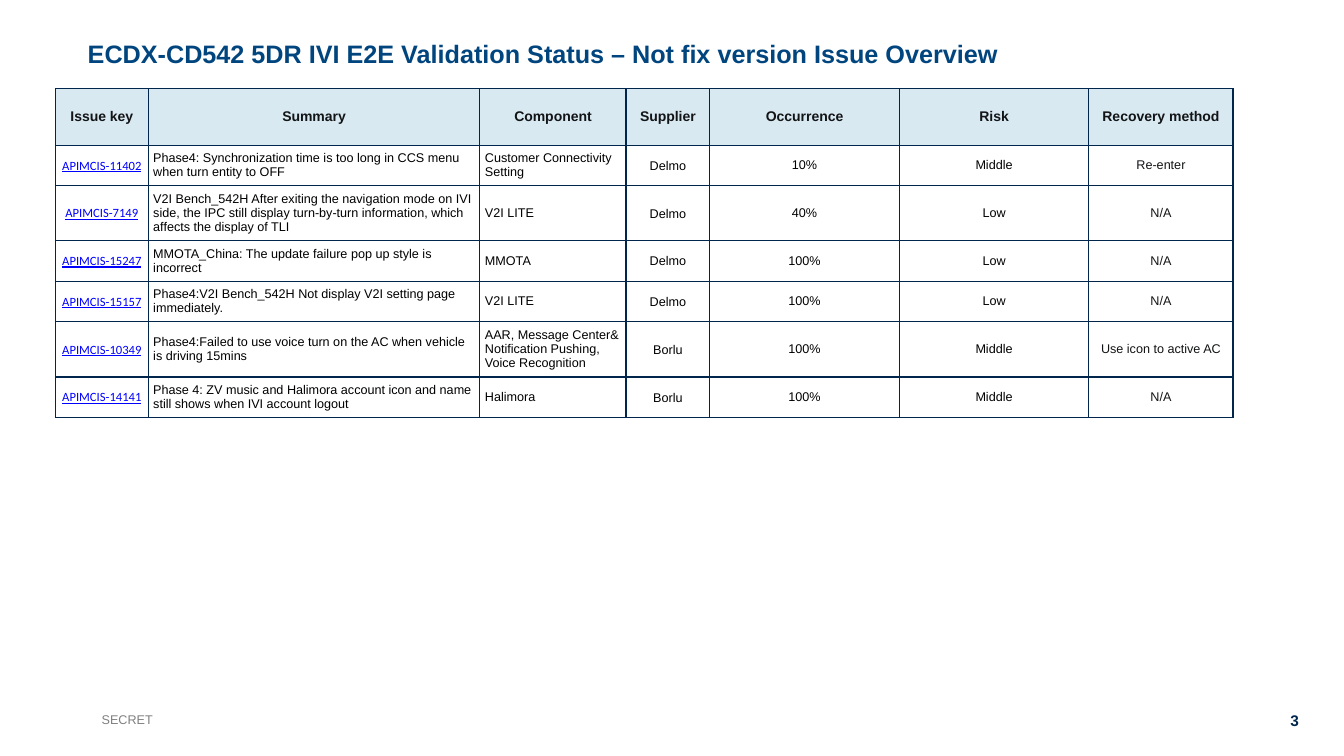
from lxml.etree import SubElement
from pptx import Presentation
from pptx.dml.color import RGBColor
from pptx.enum.text import MSO_ANCHOR, MSO_AUTO_SIZE, PP_ALIGN
from pptx.oxml.ns import qn
from pptx.util import Inches, Pt

NAVY = RGBColor(0x00, 0x26, 0x4E)
TITLE_BLUE = RGBColor(0x00, 0x45, 0x7E)
HEADER_FILL = RGBColor(0xD8, 0xE9, 0xF2)
INK = RGBColor(0x13, 0x14, 0x16)
BLACK = RGBColor(0x00, 0x00, 0x00)
LINK_BLUE = RGBColor(0x00, 0x00, 0xFF)
GREY = RGBColor(0x80, 0x80, 0x80)

HEADINGS = ("Issue key", "Summary", "Component", "Supplier", "Occurrence", "Risk", "Recovery method")
ISSUES = [
    ("APIMCIS-11402", "Phase4: Synchronization time is too long in CCS menu when turn entity to OFF",
     "Customer Connectivity Setting", "Delmo", "10%", "Middle", "Re-enter"),
    ("APIMCIS-7149", "V2I Bench_542H After exiting the navigation mode on IVI side, the IPC still "
     "display turn-by-turn information, which affects the display of TLI",
     "V2I LITE", "Delmo", "40%", "Low", "N/A"),
    ("APIMCIS-15247", "MMOTA_China: The update failure pop up style is incorrect",
     "MMOTA", "Delmo", "100%", "Low", "N/A"),
    ("APIMCIS-15157", "Phase4:V2I Bench_542H Not display V2I setting page immediately.",
     "V2I LITE", "Delmo", "100%", "Low", "N/A"),
    ("APIMCIS-10349", "Phase4:Failed to use voice turn on the AC when vehicle is driving 15mins",
     "AAR, Message Center& Notification Pushing, Voice Recognition",
     "Borlu", "100%", "Middle", "Use icon to active AC"),
    ("APIMCIS-14141", "Phase 4: ZV music and Halimora account icon and name still shows when IVI account logout",
     "Halimora", "Borlu", "100%", "Middle", "N/A"),
]
COLUMN_WIDTHS = (0.92, 3.29, 1.45, 0.83, 1.88, 1.88, 1.43)
ROW_HEIGHTS = (0.56, 0.4, 0.55, 0.4, 0.4, 0.55, 0.4)


def write(frame, text, size, color, bold=False, align=PP_ALIGN.LEFT, face="Arial"):
    frame.text = text
    paragraph = frame.paragraphs[0]
    paragraph.alignment = align
    font = paragraph.runs[0].font
    font.name, font.size, font.bold = face, Pt(size), bold
    font.color.rgb = color
    return font


def add_borders(cell):
    properties = cell._tc.get_or_add_tcPr()
    for side in ("a:lnL", "a:lnR", "a:lnT", "a:lnB"):
        line = SubElement(properties, qn(side), w=str(Pt(1)))
        fill = SubElement(line, qn("a:solidFill"))
        SubElement(fill, qn("a:srgbClr"), val=str(NAVY))


prs = Presentation()
prs.slide_width, prs.slide_height = Inches(13.33), Inches(7.5)
slide = prs.slides.add_slide(prs.slide_layouts[5])

title = slide.shapes.title
title.left, title.top, title.width, title.height = Inches(0.27), Inches(0.18), Inches(10.3), Inches(0.5)
heading = title.text_frame
heading.auto_size = MSO_AUTO_SIZE.NONE
heading.vertical_anchor = MSO_ANCHOR.BOTTOM
heading.margin_left, heading.margin_bottom = Inches(0.6), 0
write(heading, "ECDX-CD542 5DR IVI E2E Validation Status – Not fix version Issue Overview",
      18, TITLE_BLUE, bold=True)

issue_table = slide.shapes.add_table(
    len(ROW_HEIGHTS), len(COLUMN_WIDTHS), Inches(0.55), Inches(0.88),
    Inches(sum(COLUMN_WIDTHS)), Inches(sum(ROW_HEIGHTS))).table
issue_table.horz_banding = False
for column, width in zip(issue_table.columns, COLUMN_WIDTHS):
    column.width = Inches(width)
for row, height in zip(issue_table.rows, ROW_HEIGHTS):
    row.height = Inches(height)

for r, values in enumerate([HEADINGS] + ISSUES):
    for c, (name, value) in enumerate(zip(HEADINGS, values)):
        cell = issue_table.cell(r, c)
        add_borders(cell)
        cell.vertical_anchor = MSO_ANCHOR.MIDDLE
        inset = 0 if r == 0 else 0.01 if name in ("Issue key", "Supplier") else 0.05
        cell.margin_left = cell.margin_top = cell.margin_right = Inches(inset)
        cell.margin_bottom = Inches(inset if inset == 0.05 else 0)
        if r == 0:
            cell.fill.solid()
            cell.fill.fore_color.rgb = HEADER_FILL
            write(cell.text_frame, value, 10, INK, bold=True, align=PP_ALIGN.CENTER)
            continue
        cell.fill.background()
        if name == "Issue key":
            key_font = write(cell.text_frame, value, 9, LINK_BLUE, align=PP_ALIGN.CENTER, face="Calibri")
            key_font.underline = True
        else:
            align = PP_ALIGN.LEFT if name in ("Summary", "Component") else PP_ALIGN.CENTER
            color = INK if name == "Recovery method" else BLACK
            write(cell.text_frame, value, 9, color, align=align)

marking = slide.shapes.add_textbox(Inches(0.91), Inches(7.01), Inches(3), Inches(0.25))
write(marking.text_frame, "SECRET", 9, GREY)
marking.text_frame.word_wrap = True
page_number = slide.shapes.add_textbox(Inches(12.59), Inches(7.01), Inches(0.39), Inches(0.29))
write(page_number.text_frame, "3", 11, NAVY, bold=True, align=PP_ALIGN.RIGHT)
page_number.text_frame.word_wrap = True

prs.save("out.pptx")
